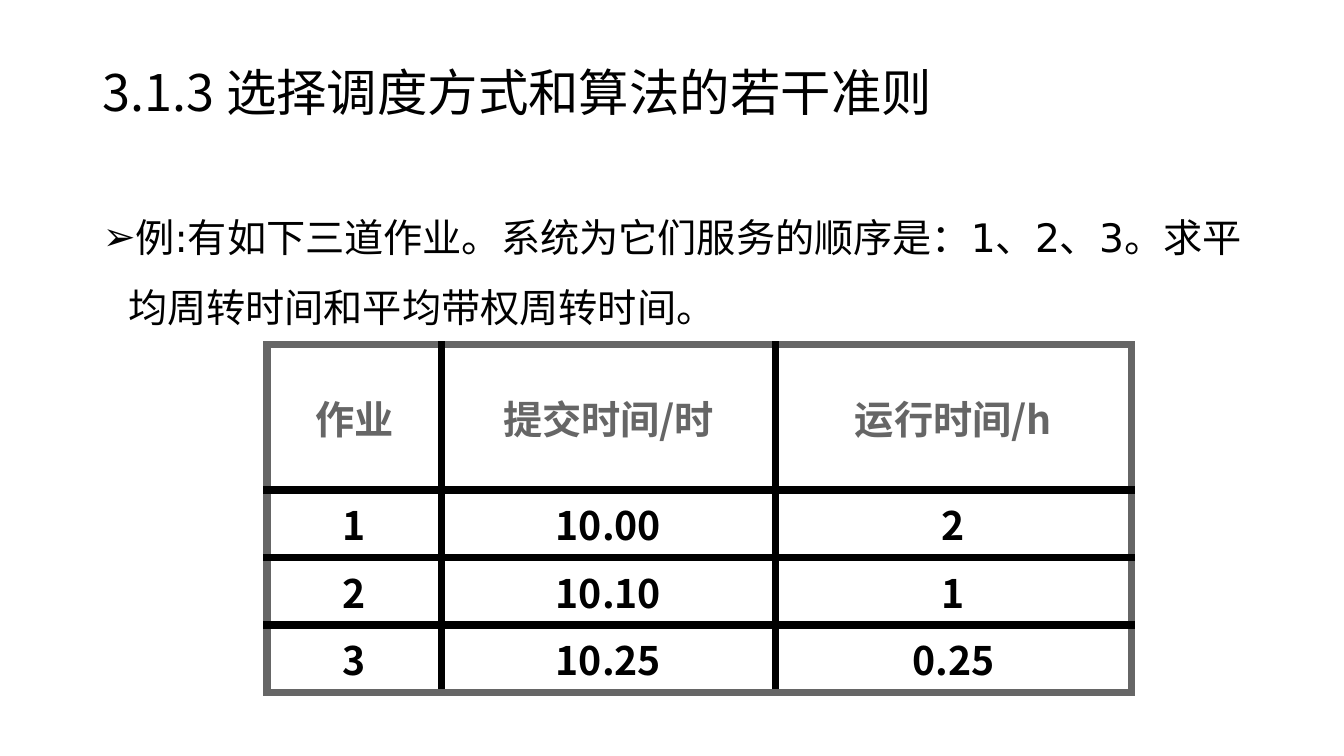
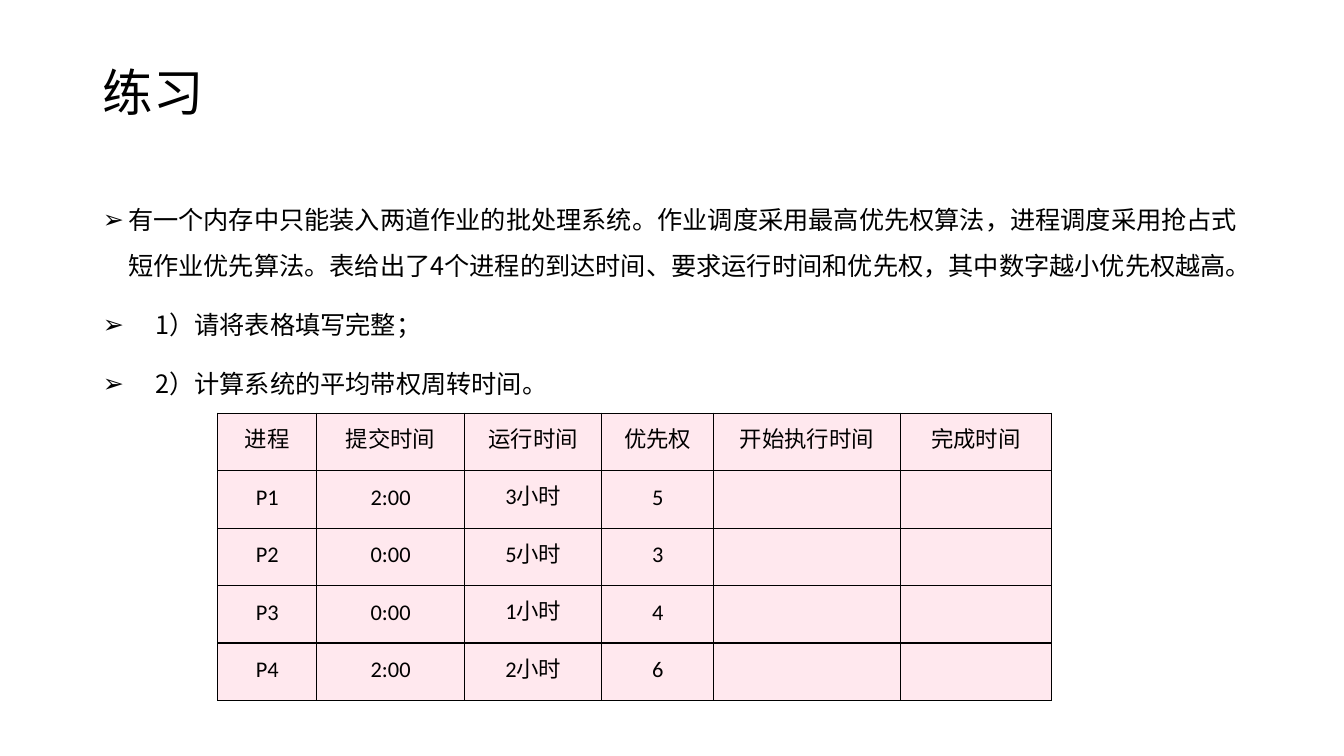
from lxml import etree
from pptx import Presentation
from pptx.dml.color import RGBColor
from pptx.enum.text import MSO_ANCHOR, MSO_AUTO_SIZE, PP_ALIGN
from pptx.oxml.ns import qn
from pptx.util import Inches, Pt

LEFT, CENTER = PP_ALIGN.LEFT, PP_ALIGN.CENTER
TOP, MIDDLE = MSO_ANCHOR.TOP, MSO_ANCHOR.MIDDLE
NO_AUTOFIT = MSO_AUTO_SIZE.NONE

BLACK = RGBColor(0, 0, 0)
GREY = RGBColor(0x66, 0x66, 0x66)
PINK = RGBColor(0xFF, 0xE8, 0xEE)
CJK_FONT = "Noto Sans CJK SC"
BODY_FONT = "DejaVu Sans"
TABLE_FONT = "Calibri"

TITLE_BOX = (0.92, 0.4, 11.5, 1.09)
BODY_BOX = (0.92, 1.83, 11.5, 4.93)
HANG, DEEP_HANG = 0.25, 0.52

# Content: body items are (text, hanging indent)
SLIDES = [
    {
        "title": "3.1.3 选择调度方式和算法的若干准则",
        "body": [("例:有如下三道作业。系统为它们服务的顺序是：1、2、3。"
                  "求平均周转时间和平均带权周转时间。", HANG)],
        "body_font": BODY_FONT, "body_size": 28,
        "table": {
            "rows": [
                ("作业", "提交时间/时", "运行时间/h"),
                ("1", "10.00", "2"),
                ("2", "10.10", "1"),
                ("3", "10.25", "0.25"),
            ],
            "position": (2.65, 3.42),
            "widths": (1.73, 3.31, 3.53),
            "heights": (1.44, 0.67, 0.67, 0.67),
            "font": CJK_FONT, "size": 28, "bold": True,
            "header_color": GREY, "fill": None,
            "border": 6, "outer_color": GREY,
            "insets": (0.1, 0.05), "line_spacing": None,
        },
    },
    {
        "title": "练习",
        "body": [
            ("有一个内存中只能装入两道作业的批处理系统。作业调度采用最高优先权算法，"
             "进程调度采用抢占式短作业优先算法。表给出了4个进程的到达时间、"
             "要求运行时间和优先权，其中数字越小优先权越高。", HANG),
            ("1）请将表格填写完整；", DEEP_HANG),
            ("2）计算系统的平均带权周转时间。", DEEP_HANG),
        ],
        "body_font": CJK_FONT, "body_size": 18,
        "table": {
            "rows": [
                ("进程", "提交时间", "运行时间", "优先权", "开始执行时间", "完成时间"),
                ("P1", "2:00", "3小时", "5", "", ""),
                ("P2", "0:00", "5小时", "3", "", ""),
                ("P3", "0:00", "1小时", "4", "", ""),
                ("P4", "2:00", "2小时", "6", "", ""),
            ],
            "position": (2.16, 4.1),
            "widths": (0.98, 1.47, 1.36, 1.11, 1.85, 1.5),
            "heights": (0.57,) * 5,
            "font": TABLE_FONT, "size": 16, "bold": False,
            "header_color": BLACK, "fill": PINK,
            "border": 1, "outer_color": BLACK,
            "insets": (0.07, 0), "line_spacing": Pt(17),
        },
    },
]


def place(shape, box):
    shape.left, shape.top, shape.width, shape.height = map(Inches, box)


def add_run(paragraph, text, font_name, size, color=BLACK, bold=False):
    run = paragraph.add_run()
    run.text = text
    font = run.font
    font.name, font.size, font.bold = font_name, Pt(size), bold
    font.color.rgb = color
    east_asian = etree.Element(qn("a:ea"), typeface=CJK_FONT)
    run._r.get_or_add_rPr().find(qn("a:latin")).addnext(east_asian)


def set_bullet(paragraph, hang):
    properties = paragraph._p.get_or_add_pPr()
    properties.set("marL", str(Inches(hang)))
    properties.set("indent", str(-Inches(hang)))
    etree.SubElement(properties, qn("a:buFont"), typeface=BODY_FONT)
    etree.SubElement(properties, qn("a:buChar"), char="➢")


def fill_title(shape, text):
    frame = shape.text_frame
    frame.auto_size, frame.vertical_anchor = NO_AUTOFIT, MIDDLE
    paragraph = frame.paragraphs[0]
    paragraph.alignment, paragraph.line_spacing = LEFT, 0.9
    add_run(paragraph, text, CJK_FONT, 36)


def fill_body(shape, items, font_name, size):
    frame = shape.text_frame
    frame.auto_size, frame.vertical_anchor = NO_AUTOFIT, TOP
    for index, (text, hang) in enumerate(items):
        paragraph = frame.add_paragraph() if index else frame.paragraphs[0]
        paragraph.alignment = LEFT
        paragraph.line_spacing, paragraph.space_before = 1.5, Pt(10)
        set_bullet(paragraph, hang)
        add_run(paragraph, text, font_name, size)


def set_borders(cell, width, colors):
    properties = cell._tc.get_or_add_tcPr()
    for index, (side, color) in enumerate(zip("LRTB", colors)):
        line = etree.Element(qn(f"a:ln{side}"), w=str(Pt(width)))
        solid = etree.SubElement(line, qn("a:solidFill"))
        etree.SubElement(solid, qn("a:srgbClr"), val=str(color))
        properties.insert(index, line)


def format_cell(cell, text, data, color):
    cell.vertical_anchor = MIDDLE
    side, vertical = map(Inches, data["insets"])
    cell.margin_left = cell.margin_right = side
    cell.margin_top = cell.margin_bottom = vertical
    if data["fill"] is None:
        cell.fill.background()
    else:
        cell.fill.solid()
        cell.fill.fore_color.rgb = data["fill"]
    if text:
        paragraph = cell.text_frame.paragraphs[0]
        paragraph.alignment = CENTER
        paragraph.line_spacing = data["line_spacing"]
        add_run(paragraph, text, data["font"], data["size"], color, data["bold"])


def add_data_table(slide, data):
    rows, widths, heights = data["rows"], data["widths"], data["heights"]
    box = (*data["position"], sum(widths), sum(heights))
    table = slide.shapes.add_table(len(rows), len(widths), *map(Inches, box)).table
    table.first_row = table.horz_banding = False
    for column, width in zip(table.columns, widths):
        column.width = Inches(width)
    for row, height in zip(table.rows, heights):
        row.height = Inches(height)
    last_row, last_column = len(rows) - 1, len(widths) - 1
    for r, texts in enumerate(rows):
        for c, text in enumerate(texts):
            cell = table.cell(r, c)
            format_cell(cell, text, data, BLACK if r else data["header_color"])
            # Edges on the outside of the table take the outer colour
            outside = (c == 0, c == last_column, r == 0, r == last_row)
            colors = [data["outer_color"] if edge else BLACK for edge in outside]
            set_borders(cell, data["border"], colors)


def main():
    presentation = Presentation()
    presentation.slide_width = Inches(13.33)
    presentation.slide_height = Inches(7.5)

    # Shared placeholder positions
    layout = presentation.slide_layouts[1]
    for index, box in enumerate((TITLE_BOX, BODY_BOX)):
        place(layout.placeholders[index], box)

    for content in SLIDES:
        slide = presentation.slides.add_slide(layout)
        fill_title(slide.shapes.title, content["title"])
        fill_body(slide.placeholders[1], content["body"],
                  content["body_font"], content["body_size"])
        add_data_table(slide, content["table"])
    presentation.save("out.pptx")


if __name__ == "__main__":
    main()
